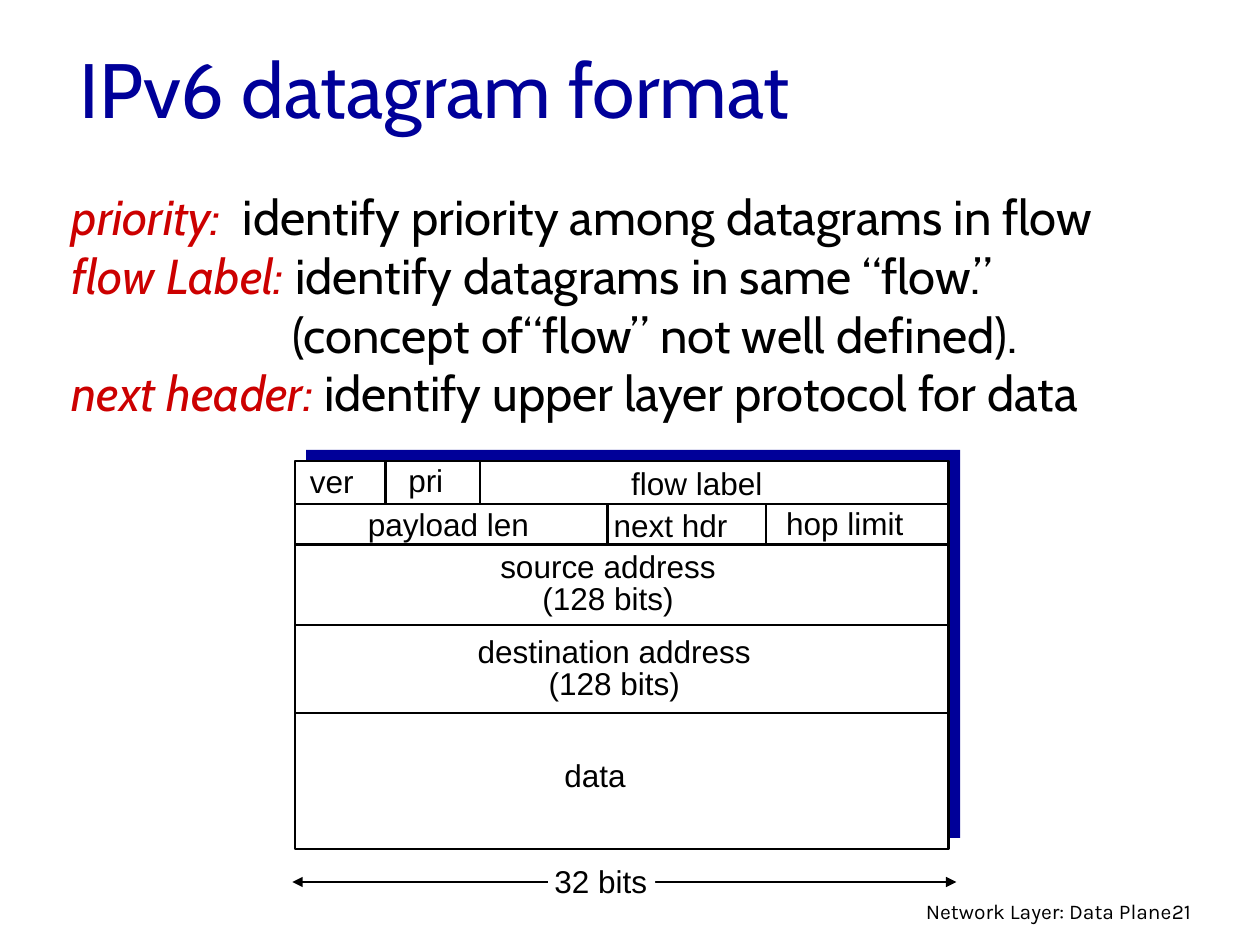
"""Build a slide that shows the IPv6 datagram format."""
from lxml import etree
from pptx import Presentation
from pptx.dml.color import RGBColor
from pptx.enum.shapes import MSO_CONNECTOR, MSO_SHAPE
from pptx.enum.text import MSO_ANCHOR, MSO_AUTO_SIZE, PP_ALIGN
from pptx.oxml.ns import qn
from pptx.util import Inches, Pt

STRAIGHT, RECTANGLE = MSO_CONNECTOR.STRAIGHT, MSO_SHAPE.RECTANGLE
LEFT, CENTER, RIGHT = PP_ALIGN.LEFT, PP_ALIGN.CENTER, PP_ALIGN.RIGHT
TOP, MIDDLE = MSO_ANCHOR.TOP, MSO_ANCHOR.MIDDLE
NO_AUTOFIT = MSO_AUTO_SIZE.NONE
NAVY = RGBColor(0x00, 0x00, 0x99)
RED = RGBColor(0xCC, 0x00, 0x00)
BLACK = RGBColor(0x00, 0x00, 0x00)
WHITE = RGBColor(0xFF, 0xFF, 0xFF)

TITLE = "IPv6 datagram format"
DEFINITIONS = [
    ("priority:", "  identify priority among datagrams in flow", 0),
    ("flow Label:", " identify datagrams in same “flow.” ", 0),
    ("", "(concept of“flow” not well defined).", 1.75),
    ("next header:", " identify upper layer protocol for data", 0),
]
FRAME_LEFT, FRAME_TOP, FRAME_WIDTH, FRAME_HEIGHT = 2.34, 3.66, 5.19, 3.08
FRAME_RIGHT = FRAME_LEFT + FRAME_WIDTH
SHADOW_OFFSET = 0.09
ROW_EDGES = [FRAME_TOP, 4, 4.32, 4.96, 5.66]
DIVIDERS = [(0, 3.06), (0, 3.81), (1, 4.82), (1, 6.08)]
LABEL_HEIGHT = 0.38
FIELDS = [
    (["ver"], 2.41, 3.62, 0.46),
    (["pri"], 3.19, 3.61, 0.39),
    (["flow label"], 4.96, 3.63, 1.16),
    (["payload len"], 2.87, 3.96, 1.39),
    (["next hdr"], 4.82, 3.97, 1.02),
    (["hop limit"], 6.19, 3.95, 1.04),
    (["source address", "(128 bits)"], 3.88, 4.34, 1.89),
    (["destination address", "(128 bits)"], 3.7, 5.01, 2.35),
    (["data"], 4.43, 5.95, 0.6),
]
FOOTERS = [("21", 9.25, 0.3, LEFT), ("Network Layer: Data Plane", 6.97, 2.38, RIGHT)]


def place(shape, left, top, width, height):
    shape.left, shape.top = Inches(left), Inches(top)
    shape.width, shape.height = Inches(width), Inches(height)


def prepare_frame(shape, wrap, anchor=TOP):
    frame = shape.text_frame
    frame.auto_size = NO_AUTOFIT
    frame.word_wrap = wrap
    frame.vertical_anchor = anchor
    frame.margin_left = frame.margin_right = Inches(0.05)
    frame.margin_top = frame.margin_bottom = Inches(0.05)
    return frame


def add_run(paragraph, text, font, size, color=BLACK, italic=False):
    run = paragraph.add_run()
    run.text = text
    run.font.name, run.font.size = font, Pt(size)
    run.font.color.rgb, run.font.italic = color, italic


def write_lines(shape, lines, font, size, alignment=LEFT, spacing=None, wrap=False):
    frame = prepare_frame(shape, wrap)
    for index, line in enumerate(lines):
        paragraph = frame.add_paragraph() if index else frame.paragraphs[0]
        paragraph.alignment, paragraph.line_spacing = alignment, spacing
        add_run(paragraph, line, font, size)


def add_box(slide, left, top, width, height, fill, line=None):
    box = slide.shapes.add_shape(
        RECTANGLE, Inches(left), Inches(top), Inches(width), Inches(height))
    box.shadow.inherit = False
    box.fill.solid()
    box.fill.fore_color.rgb = fill
    if line is None:
        box.line.fill.background()
    else:
        box.line.color.rgb, box.line.width = line, Pt(1.5)
    return box


def add_line(slide, start_x, start_y, end_x, end_y, width=1.5, arrows=False):
    connector = slide.shapes.add_connector(
        STRAIGHT, Inches(start_x), Inches(start_y), Inches(end_x), Inches(end_y))
    connector.line.color.rgb, connector.line.width = BLACK, Pt(width)
    if arrows:
        outline = connector.line._get_or_add_ln()
        for end in ("a:headEnd", "a:tailEnd"):
            etree.SubElement(outline, qn(end), type="triangle")
    etree.SubElement(connector._element.spPr, qn("a:effectLst"))


def add_text(slide, left, top, width, height, *text):
    box = slide.shapes.add_textbox(
        Inches(left), Inches(top), Inches(width), Inches(height))
    write_lines(box, *text)


def fill_placeholders(slide):
    title, body = slide.placeholders
    place(title, 0.58, 0.2, 8.5, 0.99)
    paragraph = prepare_frame(title, True, MIDDLE).paragraphs[0]
    paragraph.alignment = LEFT
    add_run(paragraph, TITLE, "Cabin", 44, NAVY)

    place(body, 0.52, 1.43, 8.69, 2)
    frame = prepare_frame(body, True)
    for index, (term, meaning, indent) in enumerate(DEFINITIONS):
        paragraph = frame.add_paragraph() if index else frame.paragraphs[0]
        paragraph.space_before = Pt(0)
        properties = paragraph._p.get_or_add_pPr()
        properties.set("marL", str(Inches(indent)))
        properties.set("indent", "0")
        etree.SubElement(properties, qn("a:buNone"))
        if term:
            add_run(paragraph, term, "Cabin", 28, RED, True)
        add_run(paragraph, meaning, "Cabin", 28)


def draw_datagram(slide):
    add_box(slide, FRAME_LEFT + SHADOW_OFFSET, FRAME_TOP - SHADOW_OFFSET,
            FRAME_WIDTH, FRAME_HEIGHT, NAVY)
    add_box(slide, FRAME_LEFT, FRAME_TOP, FRAME_WIDTH, FRAME_HEIGHT, WHITE, BLACK)
    for edge in ROW_EDGES[1:]:
        add_line(slide, FRAME_LEFT, edge, FRAME_RIGHT, edge)
    for row, x in DIVIDERS:
        add_line(slide, x, ROW_EDGES[row], x, ROW_EDGES[row + 1])
    for lines, left, top, width in FIELDS:
        if len(lines) > 1:
            add_text(slide, left, top, width, 0.63, lines, "Arial", 18, CENTER, 0.85)
        else:
            add_text(slide, left, top, width, LABEL_HEIGHT, lines, "Arial", 18)
    add_line(slide, 2.32, 7, 7.59, 7, 0.75, True)
    width_label = add_box(slide, 4.35, 6.79, 0.85, LABEL_HEIGHT, WHITE)
    write_lines(width_label, ["32 bits"], "Arial", 18)


presentation = Presentation()
presentation.slide_width, presentation.slide_height = Inches(10), Inches(7.5)
slide = presentation.slides.add_slide(presentation.slide_layouts[1])
fill_placeholders(slide)
draw_datagram(slide)
for text, left, width, alignment in FOOTERS:
    add_text(slide, left, 7.08, width, 0.29, [text], "Karla", 12, alignment, None, True)
presentation.save("out.pptx")
